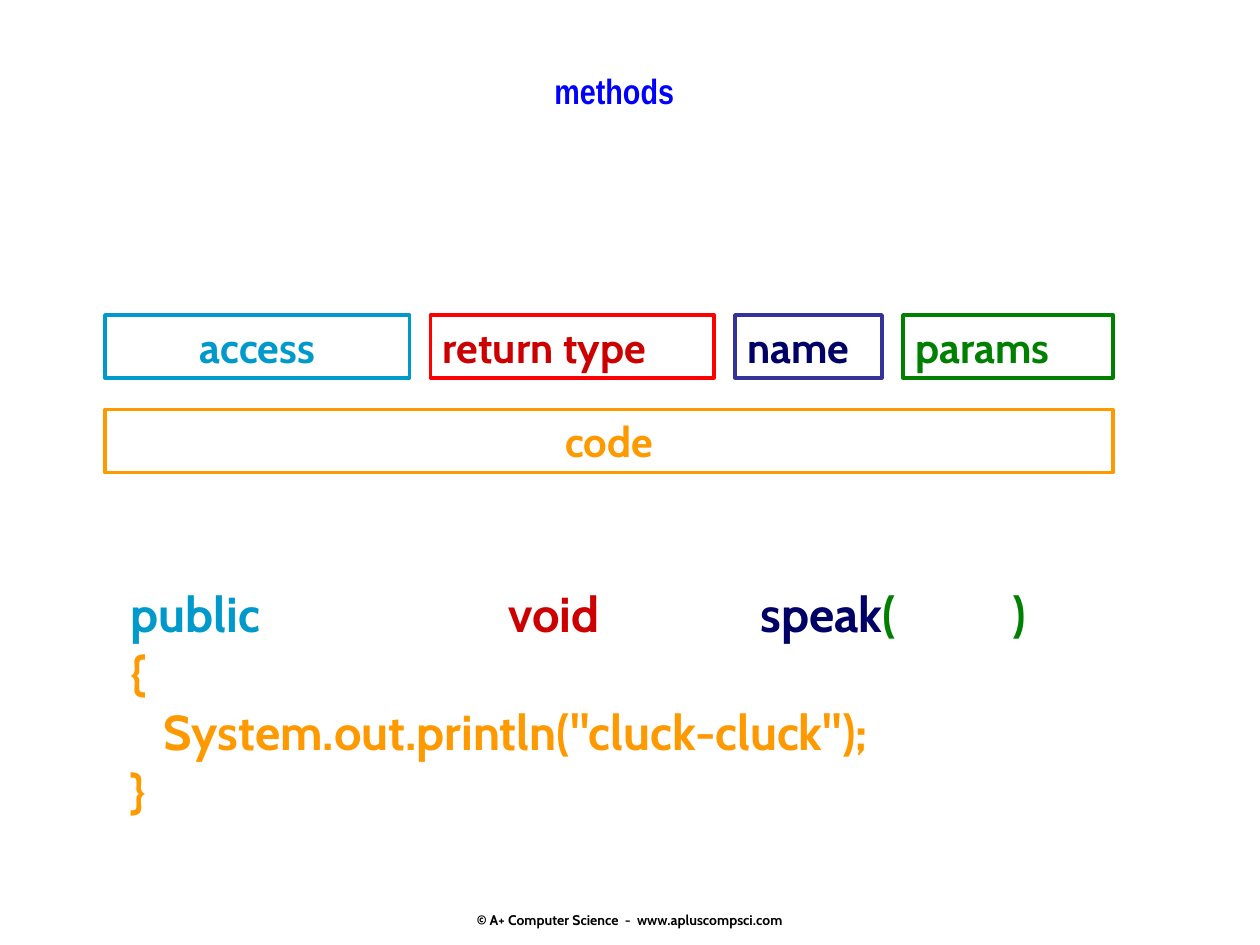
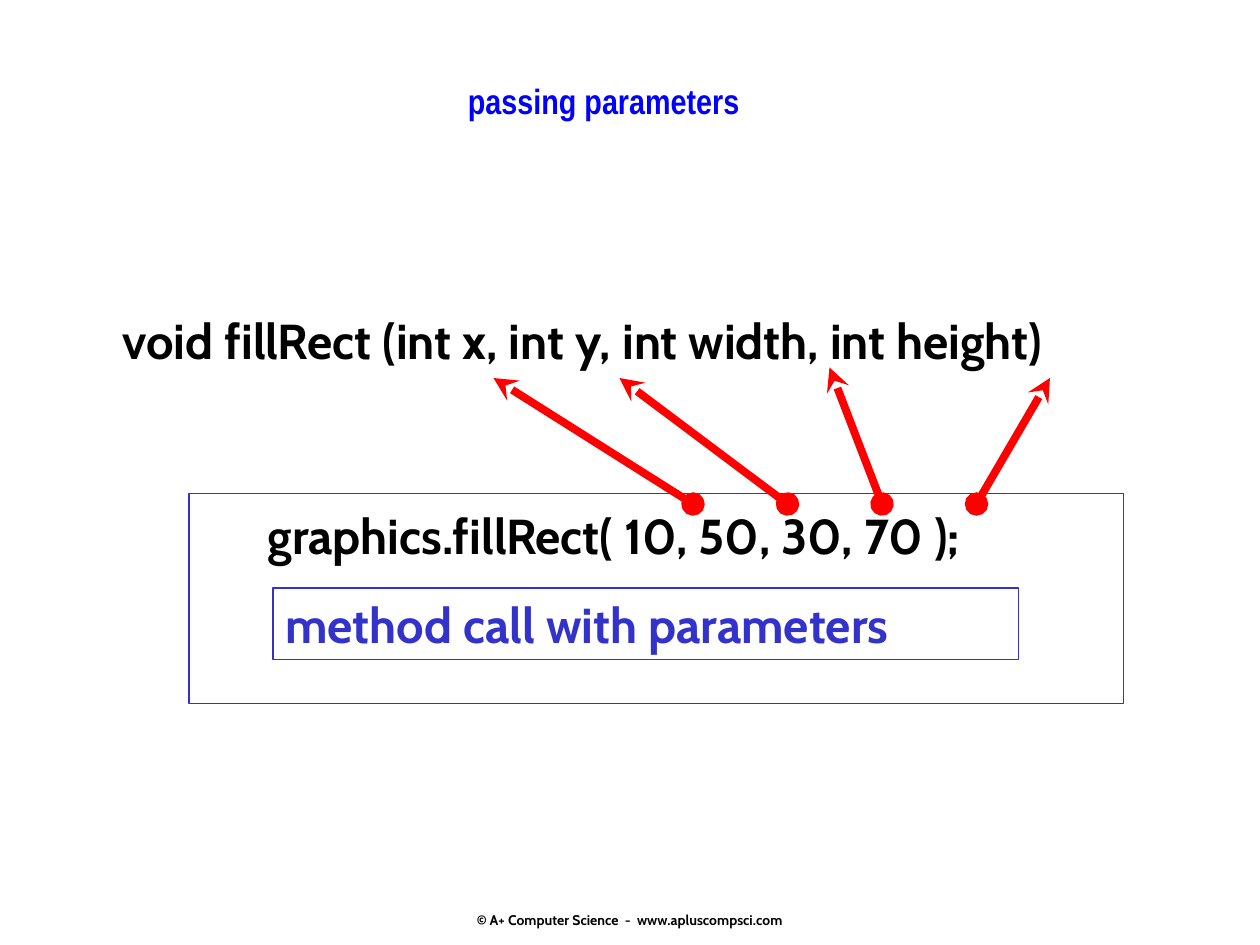
"""Build two slides on Java methods: their parts and how parameters are passed."""
from lxml import etree
from pptx import Presentation, util as u
from pptx.dml.color import RGBColor
from pptx.enum import shapes, text
from pptx.oxml import ns

THEME = {
    "title": {"name": "Arial Narrow", "size": 20, "bold": True, "color": "0000FF"},
    "label": {"name": "Cabin", "size": 24, "bold": True},
    "code": {"name": "Cabin", "size": 28, "bold": True},
    "footer": {"name": "Cabin", "size": 8, "bold": True},
    "access": "0099CC", "return": "CC0000", "name": "000066", "params": "008000",
    "body": "FF9900", "text": "000000", "call": "3333CC", "arrow": "FF0000",
    "return line": "FF0000", "name line": "333399",
}
COLUMNS, ROWS = 120, 90
FOOTER = "© A+ Computer Science  -  www.apluscompsci.com"
FOOTER_AREA = (41, 82.2, 38, 6.24)

HEADER_LEFT, HEADER_TOP, HEADER_GAP, LABEL_HEIGHT = 10, 30, 2, 6
HEADER_PARTS = [
    ("access", 29, "access", "access", "CENTER"),
    ("return type", 27, "return", "return line", "LEFT"),
    ("name", 14, "name", "name line", "LEFT"),
    ("params", 20, "params", "params", "LEFT"),
]
BODY_TOP = 39
SPEAK_AREA = (11.25, 55, 88, 23.6)
SPEAK_TABS = (3, 5, 7)
SPEAK_CODE = [
    [("public\t", "access"), ("void\t", "return"), ("speak", "name"), ("(\t)", "params")],
    [("{", "body")],
    [('   System.out.println("cluck-cluck");', "body")],
    [("}", "body")],
]

CALL_FRAME = (18, 47, 89, 20)
CALL_LABEL = (26, 56, 71, 6.84)
FILL_AREA = (10.5, 29, 109, 25.2)
FILL_CODE = [
    [("void fillRect (int\u00a0x, int\u00a0y, int\u00a0width, int\u00a0height)".replace("\u00a0", " "), "text")],
    [("graphics.fillRect( 10, 50, 30, 70 );", "text")],
]
CALL_INDENT, CALL_SPACE = 1.15, 77.75
ARGUMENT_LEFT, ARGUMENT_STEP, ARGUMENT_TOP = 66, 9, 48
PARAMETER_POINTS = [(47, 36), (59, 36), (79, 35), (100, 36)]


def place(presentation, area):
    """Turn grid columns and rows into lengths."""
    units = (presentation.slide_width / COLUMNS, presentation.slide_height / ROWS)
    return [int(value * units[index % 2]) for index, value in enumerate(area)]


def color(key):
    """Return the theme colour of a name."""
    return RGBColor.from_string(THEME[key])


def write(shape, lines, style, align="LEFT", **frame_values):
    """Fill a shape with lines of coloured runs."""
    frame = shape.text_frame
    values = {"word_wrap": True, "auto_size": text.MSO_AUTO_SIZE.NONE,
              "vertical_anchor": text.MSO_ANCHOR.TOP, **frame_values}
    for key, value in values.items():
        setattr(frame, key, value)
    for index, runs in enumerate(lines):
        paragraph = frame.add_paragraph() if index else frame.paragraphs[0]
        paragraph.alignment = getattr(text.PP_ALIGN, align)
        for words, color_key in runs:
            run = paragraph.add_run()
            run.text = words
            for key in ("name", "bold"):
                setattr(run.font, key, THEME[style][key])
            run.font.size = u.Pt(THEME[style]["size"])
            run.font.color.rgb = color(color_key)
    return frame


def add_slide(presentation, title, area):
    """Add a slide with its title and the shared footer."""
    slide = presentation.slides.add_slide(presentation.slide_layouts[5])
    heading = slide.shapes.title
    for key, value in zip(("left", "top", "width", "height"), place(presentation, area)):
        setattr(heading, key, value)
    frame = write(heading, [[(title, "arrow")]], "title", "CENTER")
    frame.paragraphs[0].runs[0].font.color.rgb = RGBColor.from_string(THEME["title"]["color"])
    footer = slide.shapes.add_textbox(*place(presentation, FOOTER_AREA))
    write(footer, [[(FOOTER, "text")]], "footer", "CENTER", margin_bottom=0,
          vertical_anchor=text.MSO_ANCHOR.BOTTOM)
    return slide


def add_box(presentation, slide, area, line_key, width):
    """Add an unfilled rectangle."""
    box = slide.shapes.add_shape(shapes.MSO_SHAPE.RECTANGLE, *place(presentation, area))
    box.shadow.inherit = False
    box.fill.background()
    box.line.color.rgb = color(line_key)
    box.line.width = u.Pt(width)
    return box


def add_code(presentation, slide, area, lines):
    """Add a box of code and return its paragraphs."""
    box = slide.shapes.add_textbox(*place(presentation, area))
    return write(box, lines, "code").paragraphs


def set_tabs(paragraph, stops):
    """Give a paragraph left tab stops in inches."""
    tabs = etree.SubElement(paragraph._p.get_or_add_pPr(), ns.qn("a:tabLst"))
    for stop in stops:
        etree.SubElement(tabs, ns.qn("a:tab"), pos=str(u.Inches(stop)), algn="l")


def add_arrow(presentation, slide, start, end):
    """Draw an arrow with a round start and a stealth tip."""
    arrow = slide.shapes.add_connector(
        shapes.MSO_CONNECTOR.STRAIGHT, *place(presentation, start + end))
    arrow.line.color.rgb = color("arrow")
    arrow.line.width = u.Pt(4.5)
    line = arrow.line._get_or_add_ln()
    for tag, kind in (("a:headEnd", "oval"), ("a:tailEnd", "stealth")):
        etree.SubElement(line, ns.qn(tag), type=kind)
    etree.SubElement(arrow._element.spPr, ns.qn("a:effectLst"))


def build_methods(presentation):
    """Show the parts of a method above an example."""
    slide = add_slide(presentation, "methods", (19, 6, 79, 11))
    left = HEADER_LEFT
    for label, width, text_key, line_key, align in HEADER_PARTS:
        box = add_box(presentation, slide, (left, HEADER_TOP, width, LABEL_HEIGHT), line_key, 2)
        write(box, [[(label, text_key)]], "label", align)
        left += width + HEADER_GAP
    body_area = (HEADER_LEFT, BODY_TOP, left - HEADER_GAP - HEADER_LEFT, LABEL_HEIGHT)
    body = add_box(presentation, slide, body_area, "body", 2)
    write(body, [[("code", "body")]], "label", "CENTER")
    signature = add_code(presentation, slide, SPEAK_AREA, SPEAK_CODE)[0]
    set_tabs(signature, SPEAK_TABS)


def build_parameters(presentation):
    """Link the arguments of a call to the parameters of its method."""
    slide = add_slide(presentation, "passing parameters", (12, 7, 91, 9))
    add_box(presentation, slide, CALL_FRAME, "call", 0.75)
    call = add_code(presentation, slide, FILL_AREA, FILL_CODE)[1]
    call.space_before = u.Pt(CALL_SPACE)
    properties = call._p.get_or_add_pPr()
    properties.set("marL", str(u.Inches(CALL_INDENT)))
    properties.set("indent", "0")
    label = add_box(presentation, slide, CALL_LABEL, "call", 0.75)
    write(label, [[("method call with parameters", "call")]], "code")
    for index, point in enumerate(PARAMETER_POINTS):
        start = (ARGUMENT_LEFT + index * ARGUMENT_STEP, ARGUMENT_TOP)
        add_arrow(presentation, slide, start, point)


def main():
    """Build and save the presentation."""
    presentation = Presentation()
    presentation.slide_width, presentation.slide_height = u.Inches(10), u.Inches(7.5)
    build_methods(presentation)
    build_parameters(presentation)
    presentation.save("out.pptx")


if __name__ == "__main__":
    main()
